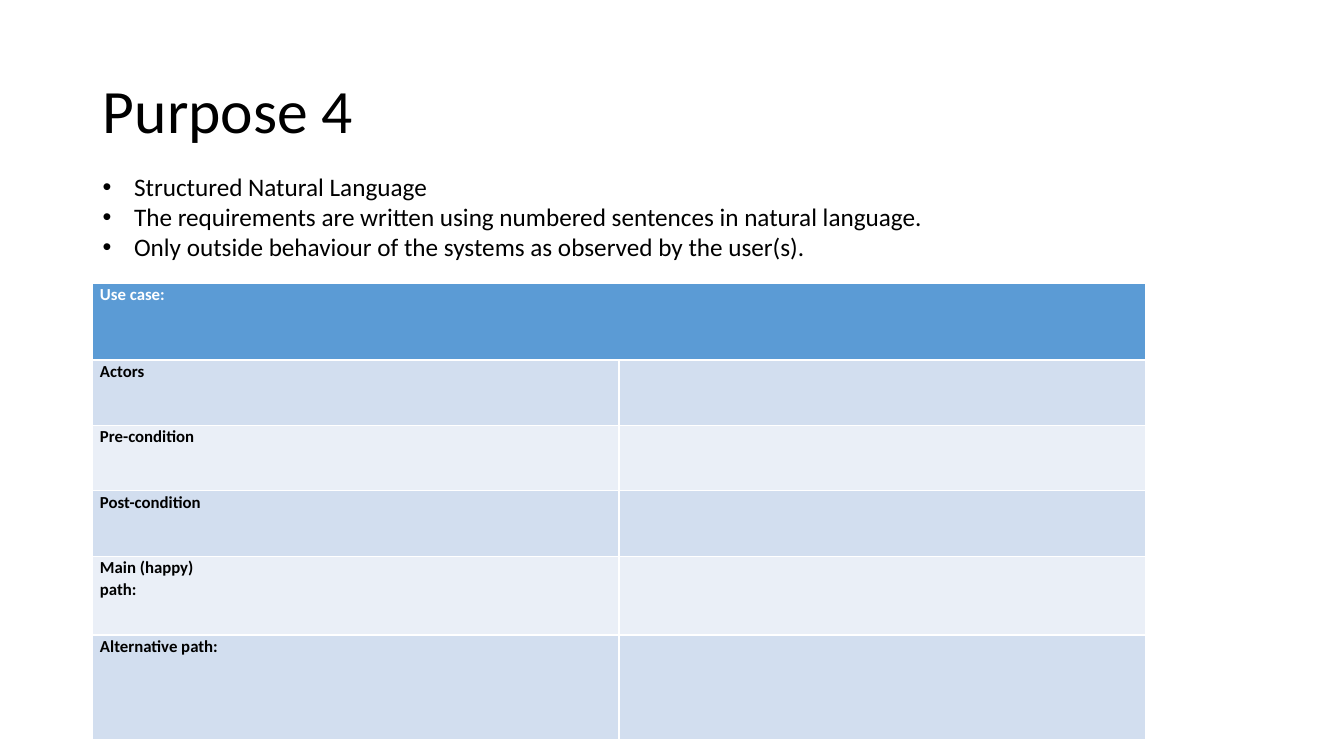
from dataclasses import dataclass

from lxml.etree import SubElement
from pptx import Presentation
from pptx.dml.color import RGBColor
from pptx.enum.text import MSO_ANCHOR as Anchor, MSO_AUTO_SIZE as AutoSize, PP_ALIGN as Align
from pptx.oxml.ns import qn
from pptx.slide import Slide
from pptx.table import _Cell as Cell
from pptx.text.text import _Paragraph as Paragraph
from pptx.util import Cm, Pt

FONT = "Calibri"
BLACK = RGBColor(0x00, 0x00, 0x00)
WHITE = RGBColor(0xFF, 0xFF, 0xFF)
HEADER_BLUE = RGBColor(0x5B, 0x9B, 0xD5)
BAND_DARK = RGBColor(0xD2, 0xDE, 0xEF)
BAND_LIGHT = RGBColor(0xEA, 0xEF, 0xF7)

LEFT = Cm(2.34)
COLUMN_WIDTH = Cm(13.26)
CELL_MARGIN = Cm(0.18)
BULLET_INDENT = Cm(0.79)


@dataclass(frozen=True)
class UseCaseRow:
    lines: tuple[str, ...]
    height: float
    align: Align = Align.JUSTIFY


BULLETS = (
    "Structured Natural Language",
    "The requirements are written using numbered sentences in natural language.",
    "Only outside behaviour of the systems as observed by the user(s).",
)

USE_CASE_ROWS = (
    UseCaseRow(("Use case:",), 1.93),
    UseCaseRow(("Actors",), 1.65),
    UseCaseRow(("Pre-condition",), 1.65),
    UseCaseRow(("Post-condition",), 1.65),
    UseCaseRow(("Main (happy)", "path:"), 1.98),
    UseCaseRow(("Alternative path:",), 2.64, Align.LEFT),
)


def add_span(para: Paragraph, text: str, size: int, color: RGBColor, bold: bool = False) -> None:
    span = para.add_run()
    span.text = text
    span.font.name = FONT
    span.font.size = Pt(size)
    span.font.bold = bold
    span.font.color.rgb = color


def add_bullet(para: Paragraph) -> None:
    properties = para._p.get_or_add_pPr()
    properties.set("marL", str(BULLET_INDENT))
    properties.set("indent", str(-BULLET_INDENT))
    SubElement(properties, qn("a:buFont")).set("typeface", "Arial")
    SubElement(properties, qn("a:buChar")).set("char", "•")


def format_title(page: Slide) -> None:
    title = page.shapes.title
    title.left, title.top, title.width, title.height = LEFT, Cm(1.02), Cm(29.21), Cm(3.68)
    title.text_frame.vertical_anchor = Anchor.MIDDLE
    para = title.text_frame.paragraphs[0]
    para.alignment = Align.LEFT
    para.line_spacing = 0.9
    add_span(para, "Purpose 4", 44, BLACK)


def add_bullet_list(page: Slide) -> None:
    box = page.shapes.add_textbox(LEFT, Cm(4.19), Cm(21.29), Cm(2.57))
    frame = box.text_frame
    frame.word_wrap = True
    frame.auto_size = AutoSize.SHAPE_TO_FIT_TEXT
    for index, text in enumerate(BULLETS):
        para = frame.add_paragraph() if index else frame.paragraphs[0]
        add_bullet(para)
        add_span(para, text, 18, BLACK)


def fill_cell(cell: Cell, color: RGBColor) -> None:
    cell.fill.solid()
    cell.fill.fore_color.rgb = color
    cell.margin_left = cell.margin_right = CELL_MARGIN
    cell.margin_top = cell.margin_bottom = 0


def write_label(cell: Cell, row: UseCaseRow, color: RGBColor) -> None:
    frame = cell.text_frame
    for index, line in enumerate(row.lines):
        para = frame.add_paragraph() if index else frame.paragraphs[0]
        para.alignment = row.align
        para.line_spacing = 1.07
        add_span(para, line, 12, color, bold=True)


def add_use_case_table(page: Slide) -> None:
    height = Cm(sum(row.height for row in USE_CASE_ROWS))
    frame = page.shapes.add_table(len(USE_CASE_ROWS), 2, LEFT, Cm(7.14), 2 * COLUMN_WIDTH, height)
    table = frame.table
    for column in table.columns:
        column.width = COLUMN_WIDTH
    table.cell(0, 0).merge(table.cell(0, 1))
    for index, row in enumerate(USE_CASE_ROWS):
        table.rows[index].height = Cm(row.height)
        band = BAND_DARK if index % 2 else BAND_LIGHT
        for cell in table.rows[index].cells:
            fill_cell(cell, band if index else HEADER_BLUE)
        write_label(table.cell(index, 0), row, BLACK if index else WHITE)


def main() -> None:
    deck = Presentation()
    deck.slide_width, deck.slide_height = Cm(33.87), Cm(19.05)
    page = deck.slides.add_slide(deck.slide_layouts.get_by_name("Title Only"))
    format_title(page)
    add_bullet_list(page)
    add_use_case_table(page)
    deck.save("out.pptx")


if __name__ == "__main__":
    main()
